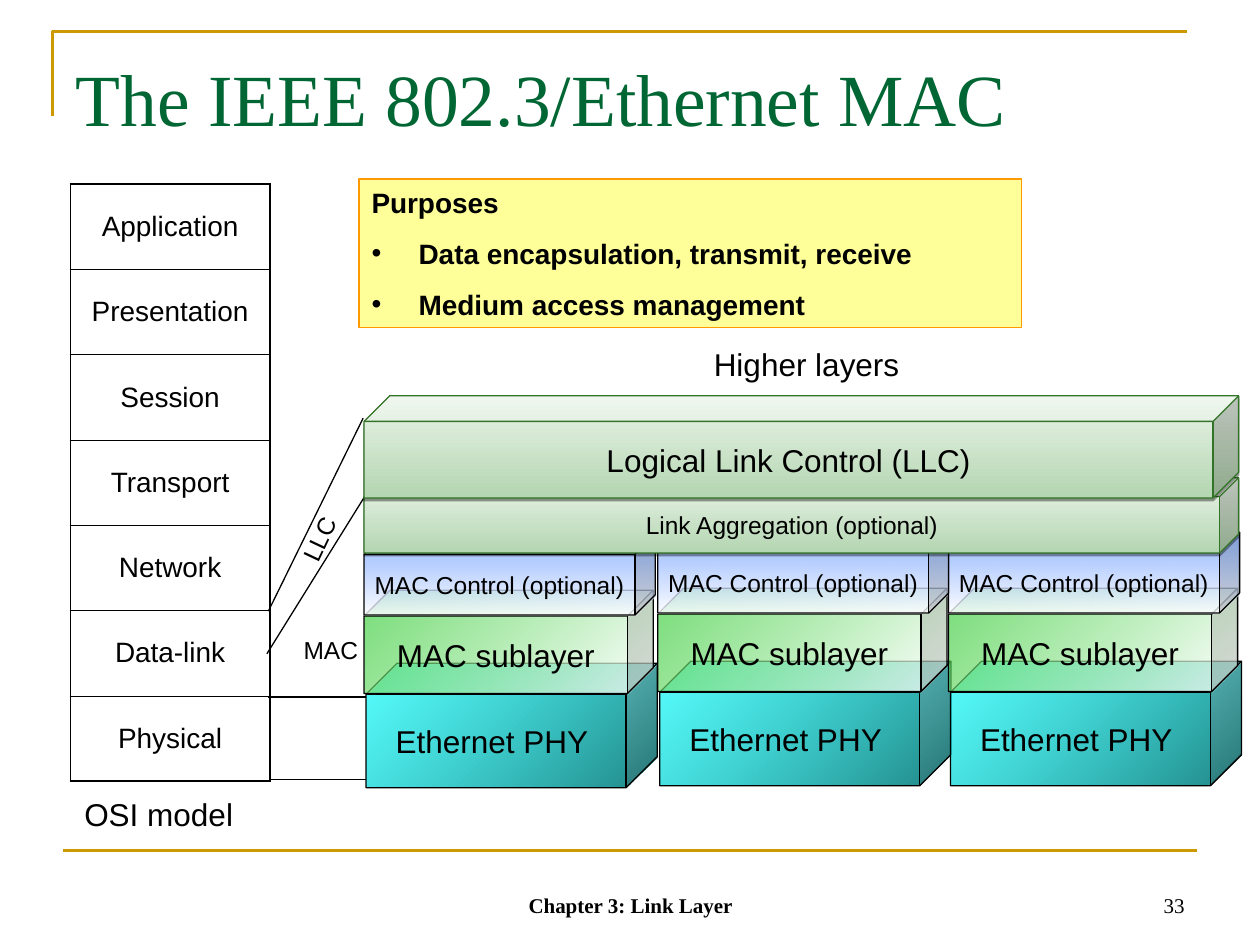
from lxml import etree
from pptx import Presentation, util as u
from pptx.dml.color import RGBColor
from pptx.enum import shapes, text
from pptx.oxml.ns import qn

COLORS = {
    "black": "000000", "title": "006633", "gold": "CC9900",
    "note": "FFFF99", "note_line": "FF9900", "band_line": "327327",
}
GRADIENTS = {
    "phy": (("00FFFF", 67), ("007676", 86), 45),
    "mac": (("33CC33", 67), ("FFFFFF", 74), 45),
    "control": (("6699FF", 72), ("FFFFFF", 82), 90),
    "band": (("B4D6B1", 100), ("EBF4EA", 100), 270),
}
OSI_LAYERS = ["Application", "Presentation", "Session", "Transport",
              "Network", "Data-link", "Physical"]
LEFT, CENTER, RIGHT = text.PP_ALIGN.LEFT, text.PP_ALIGN.CENTER, text.PP_ALIGN.RIGHT
TOP, MIDDLE, BOTTOM = (text.MSO_ANCHOR.TOP, text.MSO_ANCHOR.MIDDLE,
                       text.MSO_ANCHOR.BOTTOM)


def rgb(name):
    return RGBColor.from_string(COLORS.get(name, name))


def lengths(*values):
    return [u.Cm(value) for value in values]


class SlideBuilder:
    sans, serif = "Arial", "Times New Roman"

    def __init__(self, deck):
        self.page = deck.slides.add_slide(deck.slide_layouts[5])

    def add_span(self, para, words, size, font=sans, color="black", bold=False,
                 align=LEFT):
        para.alignment = align
        span = para.add_run()
        span.text = words
        span.font.name, span.font.size = font, u.Pt(size)
        span.font.bold, span.font.color.rgb = bold, rgb(color)

    def outline(self, shape, color, width=0.75):
        shape.line.color.rgb = rgb(color)
        shape.line.width = u.Pt(width)

    def title(self, words, *place):
        box = self.page.shapes.title
        box.left, box.top, box.width, box.height = lengths(*place)
        frame = box.text_frame
        frame.auto_size = text.MSO_AUTO_SIZE.NONE
        frame.vertical_anchor = TOP
        frame.margin_top = u.Cm(0.3)
        self.add_span(frame.paragraphs[0], words, 42, self.serif, "title")

    def label(self, words, *place, size=18, anchor=TOP, rotation=0, **style):
        box = self.page.shapes.add_textbox(*lengths(*place))
        box.rotation = rotation
        frame = box.text_frame
        frame.word_wrap = True
        frame.vertical_anchor = anchor
        self.add_span(frame.paragraphs[0], words, size, **style)

    def line(self, *ends, color="black", width=0.75):
        connector = self.page.shapes.add_connector(
            shapes.MSO_CONNECTOR.STRAIGHT, *lengths(*ends))
        self.outline(connector, color, width)
        etree.SubElement(connector.element.spPr, qn("a:effectLst"))

    def corner(self, left, top, right, bottom):
        builder = self.page.shapes.build_freeform(*lengths(left, bottom))
        builder.add_line_segments(
            [lengths(left, top), lengths(right, top)], close=False)
        shape = builder.convert_to_shape()
        shape.shadow.inherit = False
        shape.fill.background()
        self.outline(shape, "gold", 1.5)

    def cube(self, words, gradient, *place, size=18, line="black", shadow=False):
        shape = self.page.shapes.add_shape(shapes.MSO_SHAPE.CUBE, *lengths(*place))
        shape.shadow.inherit = False
        *stops, angle = GRADIENTS[gradient]
        shape.fill.gradient()
        shape.fill.gradient_angle = 360 - angle
        for stop, (color, _) in zip(shape.fill.gradient_stops, stops):
            stop.color.rgb = rgb(color)
        stop_colors = shape.element.spPr.iter(qn("a:srgbClr"))
        for node, (_, opacity) in zip(stop_colors, stops):
            etree.SubElement(node, qn("a:alpha"), val=str(opacity * 1000))
        self.outline(shape, line)
        if shadow:
            self.drop_shadow(shape)
        frame = shape.text_frame
        frame.word_wrap = False
        frame.vertical_anchor = MIDDLE
        self.add_span(frame.paragraphs[0], words, size, align=CENTER)

    def drop_shadow(self, shape):
        effects = shape.element.spPr.find(qn("a:effectLst"))
        outer = etree.SubElement(effects, qn("a:outerShdw"), blurRad="0",
                                 dist=str(u.Pt(1.6)), dir="5400000", rotWithShape="0")
        color = etree.SubElement(outer, qn("a:srgbClr"), val=COLORS["black"])
        etree.SubElement(color, qn("a:alpha"), val="38000")

    def note(self, heading, points, *place):
        shape = self.page.shapes.add_shape(shapes.MSO_SHAPE.RECTANGLE, *lengths(*place))
        shape.shadow.inherit = False
        shape.fill.solid()
        shape.fill.fore_color.rgb = rgb("note")
        self.outline(shape, "note_line")
        frame = shape.text_frame
        frame.word_wrap = True
        frame.vertical_anchor = TOP
        self.add_span(frame.paragraphs[0], heading, 16, bold=True)
        for point in points:
            para = frame.add_paragraph()
            properties = para._p.get_or_add_pPr()
            properties.set("marL", str(u.Cm(0.95)))
            properties.set("indent", str(u.Cm(-0.95)))
            etree.SubElement(properties, qn("a:buFont"), typeface=self.sans)
            etree.SubElement(properties, qn("a:buChar"), char="•")
            para.space_before = u.Pt(10)
            self.add_span(para, point, 16, bold=True)

    def border(self, cell, side, width):
        edge = etree.SubElement(cell._tc.get_or_add_tcPr(), qn("a:ln" + side),
                                w=str(u.Pt(width)))
        fill = etree.SubElement(edge, qn("a:solidFill"))
        etree.SubElement(fill, qn("a:srgbClr"), val=COLORS["black"])

    def layer_table(self, layers, *place):
        table = self.page.shapes.add_table(len(layers), 1, *lengths(*place)).table
        table.first_row = table.horz_banding = False
        for index, layer in enumerate(layers):
            cell = table.cell(index, 0)
            top = 1.08 if index == 0 else 0.45
            bottom = 1.08 if index == len(layers) - 1 else 0.45
            for side, width in zip("LRTB", (1.08, 1.08, top, bottom)):
                self.border(cell, side, width)
            cell.fill.background()
            cell.vertical_anchor = MIDDLE
            self.add_span(cell.text_frame.paragraphs[0], layer, 16, align=CENTER)


def main():
    deck = Presentation()
    deck.slide_width, deck.slide_height = lengths(25.4, 19.05)
    slide = SlideBuilder(deck)

    slide.corner(1.06, 0.64, 23.92, 2.33)
    slide.line(1.27, 17.15, 24.13, 17.15, color="gold", width=1.5)
    slide.title("The IEEE 802.3/Ethernet MAC", 1.27, 0.76, 22.86, 3.18)

    slide.layer_table(OSI_LAYERS, 1.42, 3.71, 4.02, 12.04)
    slide.label("OSI model", 1.45, 15.9, 4.06, 1.02)
    slide.label("LLC", 5.64, 10.29, 1.73, 0.86, size=14, rotation=295.3)
    slide.label("MAC", 5.87, 12.67, 2.34, 0.86, size=14)
    slide.label("Higher layers", 13.54, 6.83, 5.44, 1.02, align=CENTER)
    slide.note("Purposes",
               ["Data encapsulation, transmit, receive", "Medium access management"],
               7.24, 3.61, 13.36, 3)

    for ends in [(5.41, 14.05, 7.37, 14.05), (5.44, 15.72, 7.37, 15.72),
                 (5.41, 12.32, 7.32, 8.43), (7.37, 9.98, 5.38, 13.18)]:
        slide.line(*ends)

    for left, drop in [(7.34, 0.04), (13.26, 0), (19.12, 0)]:
        slide.cube("Ethernet PHY ", "phy", left + 0.04, 13.33 + drop, 5.87, 2.51)
        slide.cube("MAC sublayer", "mac", left, 11.86 + drop, 5.83, 2.08)
        slide.cube("MAC Control (optional)", "control", left, 10.73 + drop, 5.87, 1.63,
                   size=14)

    slide.cube("Link Aggregation (optional)", "band", 7.34, 9.63, 17.63, 1.52,
               size=14, line="band_line", shadow=True)
    slide.cube("Logical Link Control (LLC)", "band", 7.34, 7.98, 17.63, 2.06,
               line="band_line", shadow=True)

    slide.label("Chapter 3: Link Layer", 8.69, 17.35, 8.05, 1.27, size=12,
                anchor=BOTTOM, font=slide.serif, bold=True, align=CENTER)
    slide.label("33", 18.21, 17.35, 5.92, 1.27, size=12,
                anchor=BOTTOM, font=slide.serif, align=RIGHT)
    deck.save("out.pptx")


if __name__ == "__main__":
    main()
